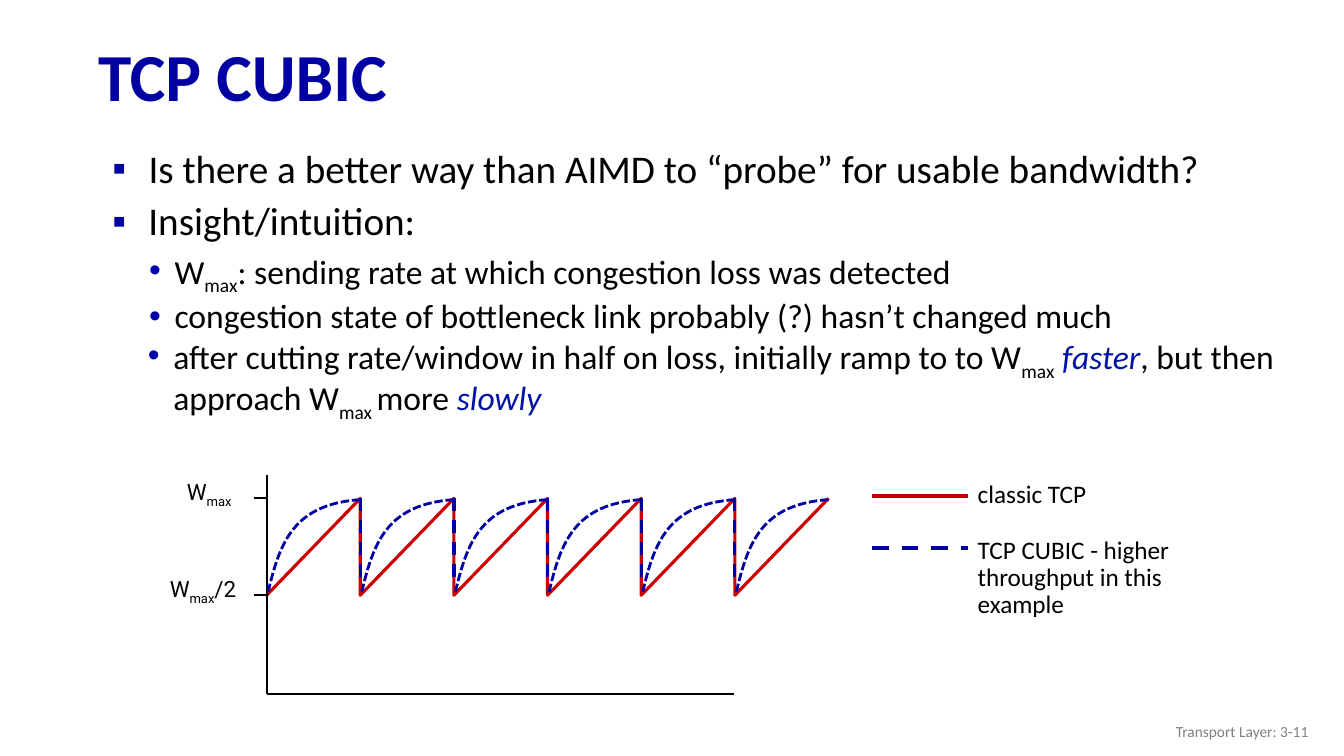
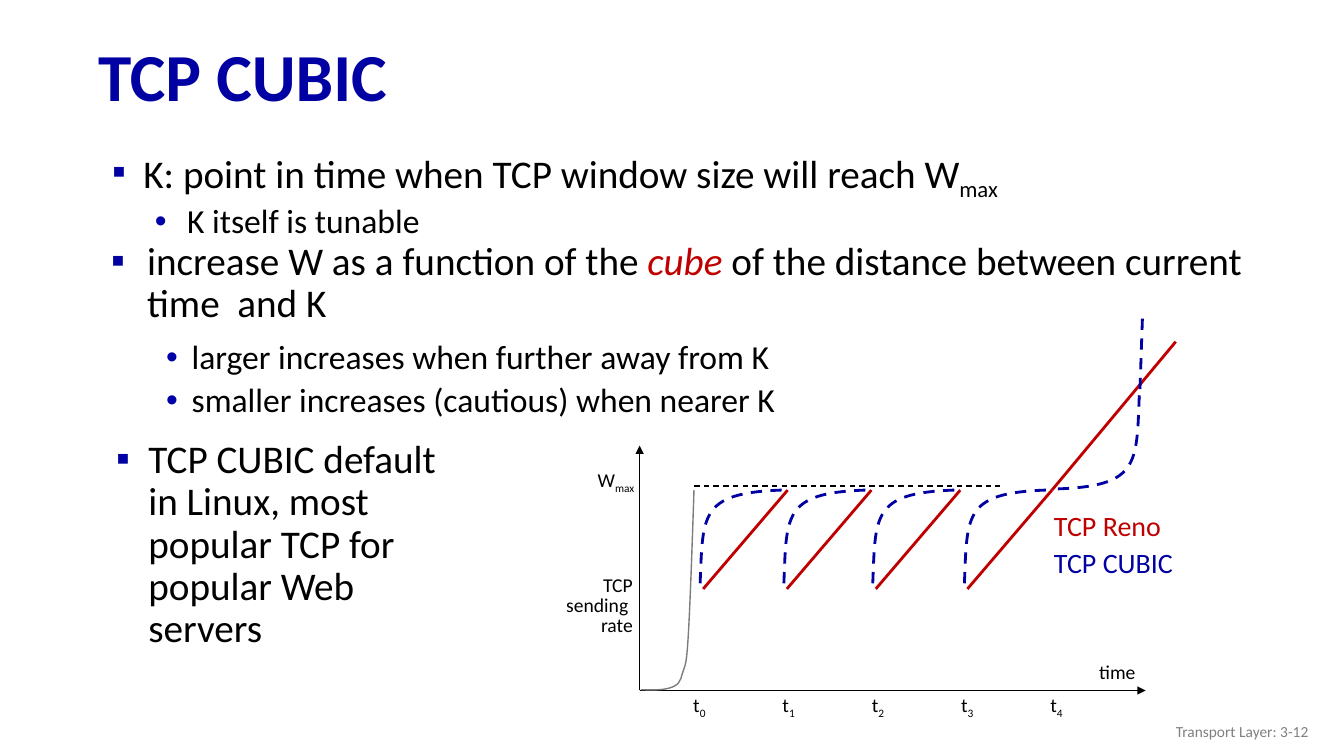
from dataclasses import dataclass
from typing import Any

import pptx
import pptx.dml.color
import pptx.enum.dml
import pptx.enum.shapes
import pptx.enum.text
import pptx.oxml
import pptx.oxml.ns
import pptx.util

Cm, Pt, qn = pptx.util.Cm, pptx.util.Pt, pptx.oxml.ns.qn
DASH = pptx.enum.dml.MSO_LINE
ALIGN = pptx.enum.text.PP_ALIGN
ANCHOR = pptx.enum.text.MSO_ANCHOR

NAVY, DEEP_BLUE, BLACK, GRAY = "0000A3", "0013A3", "000000", "808080"
RED, BRIGHT_RED, SLOW_START_GRAY = "C00000", "CC0000", "7C7C7C"
FONT = "Calibri"
TEXT_LEFT, TEXT_WIDTH = 2.22, 31.01

# Marks on a run that differ from the rest of its paragraph
SUB = {"subscript": True}
BLUE_ITALIC = {"color": DEEP_BLUE, "italic": True}
RED_ITALIC = {"color": RED, "italic": True}
W_MAX = ["W", ("max", SUB)]

# Per bullet level: character, its colour, text size, space before, indents
LEVELS = [
    {"char": "▪", "color": NAVY, "size": 28, "before": 10, "margin": 1.27, "hang": 0.91},
    {"char": "•", "color": "0000A8", "size": 24, "before": 5, "margin": 1.93, "hang": 0.64},
]


def rgb(color):
    return pptx.dml.color.RGBColor.from_string(color)


def add_runs(paragraph, runs, size, color=BLACK, font=FONT, bold=False):
    for part in runs:
        text, marks = (part, {}) if isinstance(part, str) else part
        run = paragraph.add_run()
        run.text = text
        formats = {"name": font, "size": Pt(size), "bold": bold,
                   "italic": marks.get("italic", False)}
        for name, value in formats.items():
            setattr(run.font, name, value)
        run.font.color.rgb = rgb(marks.get("color", color))
        if marks.get("subscript"):
            run._r.get_or_add_rPr().set("baseline", "-25000")


def format_paragraph(paragraph, align=ALIGN.LEFT, spacing=1.0, before=0):
    formats = {"alignment": align, "line_spacing": spacing,
               "space_before": Pt(before), "space_after": Pt(0)}
    for name, value in formats.items():
        setattr(paragraph, name, value)


def set_frame(frame, anchor=ANCHOR.TOP):
    formats = {"word_wrap": True, "auto_size": pptx.enum.text.MSO_AUTO_SIZE.NONE,
               "vertical_anchor": anchor}
    for name, value in formats.items():
        setattr(frame, name, value)


def paragraphs_of(frame, count):
    """The first paragraph of the frame, then new ones, up to count."""
    return [frame.paragraphs[0]] + [frame.add_paragraph() for _ in range(count - 1)]


def place(shape, left, top, width, height):
    for name, value in zip(("left", "top", "width", "height"), (left, top, width, height)):
        setattr(shape, name, Cm(value))


@dataclass
class Panel:
    """A region of a slide; its parts are placed in cm from its top left corner."""
    slide: Any
    left: float
    top: float
    width: float
    height: float

    def at(self, x, y):
        return Cm(self.left + x), Cm(self.top + y)

    def line(self, start, end, color=BLACK, weight=1.5, dash=None, arrow=False):
        straight = pptx.enum.shapes.MSO_CONNECTOR.STRAIGHT
        connector = self.slide.shapes.add_connector(straight, *self.at(*start), *self.at(*end))
        style_line(connector.line, color, weight, dash)
        if arrow:
            add_element(connector.line._get_or_add_ln(), "tailEnd", type="triangle")
        add_element(connector._element.spPr, "effectLst")

    def outline(self, points, color, weight, dash=None, curved=False):
        first, *rest = [self.at(*point) for point in points]
        builder = self.slide.shapes.build_freeform(*first, scale=1.0)
        builder.add_line_segments(rest, close=False)
        shape = builder.convert_to_shape()
        if curved:
            bend_segments(shape)
        shape.shadow.inherit = False
        shape.fill.background()
        style_line(shape.line, color, weight, dash)

    def arc(self, corner, size, bend, dash=DASH.DASH, turned=False):
        """A curve from top right to bottom left of a box, or turned by 180 degrees."""
        shares = [(1, 0), *bend, (0, 1)]
        if turned:
            shares = [(1 - u, 1 - v) for u, v in shares]
        (x, y), (w, h) = corner, size
        self.outline([(x + u * w, y + v * h) for u, v in shares], NAVY, 2, dash, curved=True)

    def text(self, x, y, width, height, lines, size, colors=(BLACK,), font=FONT,
             align=ALIGN.LEFT, spacing=1.0, before=0, anchor=ANCHOR.TOP):
        box = self.slide.shapes.add_textbox(*self.at(x, y), Cm(width), Cm(height))
        set_frame(box.text_frame, anchor)
        for i, paragraph in enumerate(paragraphs_of(box.text_frame, len(lines))):
            format_paragraph(paragraph, align, spacing, before if i else 0)
            add_runs(paragraph, lines[i], size, colors[i % len(colors)], font)


def add_element(parent, tag, **attributes):
    element = pptx.oxml.parse_xml(f'<a:{tag} {pptx.oxml.ns.nsdecls("a")}/>')
    for name, value in attributes.items():
        element.set(name, value)
    parent.append(element)
    return element


def bend_segments(shape):
    """Turn each three straight segments into one cubic curve."""
    segments = list(shape._element.iter(qn("a:lnTo")))
    for i in range(0, len(segments), 3):
        curve = add_element(segments[i].getparent(), "cubicBezTo")
        for segment in segments[i:i + 3]:
            curve.append(segment[0])
            segment.getparent().remove(segment)


def style_line(line, color, weight, dash):
    line.color.rgb = rgb(color)
    line.width = Pt(weight)
    if dash is not None:
        line.dash_style = dash


def fill_bullets(frame, items):
    """Each item is a level, its runs and any changes to the level's look."""
    set_frame(frame)
    for i, paragraph in enumerate(paragraphs_of(frame, len(items))):
        level, runs, *changes = items[i]
        look = {**LEVELS[level], **(changes[0] if changes else {})}
        paragraph.level = level
        properties = paragraph._p.get_or_add_pPr()
        properties.set("marL", str(Cm(look["margin"])))
        properties.set("indent", str(-Cm(look["hang"])))
        add_element(add_element(properties, "buClr"), "srgbClr", val=look["color"])
        add_element(properties, "buFont", typeface="Arial")
        add_element(properties, "buChar", char=look["char"])
        format_paragraph(paragraph, spacing=0.9, before=look["before"] if i else 0)
        add_runs(paragraph, runs, look["size"])


def add_bullets(slide, left, top, width, height, items):
    box = slide.shapes.add_textbox(Cm(left), Cm(top), Cm(width), Cm(height))
    fill_bullets(box.text_frame, items)


def add_content_slide(deck, title, number, body_height, items):
    """A slide with title, leading bullets and footer."""
    slide = deck.slides.add_slide(deck.slide_layouts[1])
    heading, body = slide.shapes.title, slide.placeholders[1]
    place(heading, TEXT_LEFT, 0.76, 31.65, 2.49)
    set_frame(heading.text_frame, ANCHOR.MIDDLE)
    paragraph = heading.text_frame.paragraphs[0]
    format_paragraph(paragraph, spacing=0.9)
    add_runs(paragraph, [title], 48, NAVY, bold=True)
    place(body, TEXT_LEFT, 3.64, TEXT_WIDTH, body_height)
    fill_bullets(body.text_frame, items)
    footer = Panel(slide, 25.61, 17.91, 7.62, 1.02)
    footer.text(0, 0, footer.width, footer.height, [[f"Transport Layer: {number}"]], 11,
                [GRAY], align=ALIGN.RIGHT, anchor=ANCHOR.MIDDLE)
    return slide


def draw_sawtooth(panel, teeth=6):
    """Window size of both TCP versions between Wmax/2 and Wmax."""
    full, half, step = 0.6, 3.04, 2.36
    saw = []
    for i in range(teeth):
        saw += [(i * step, half), ((i + 1) * step, full)]
    panel.outline(saw, BRIGHT_RED, 2.25)
    panel.line((0, panel.height), (panel.width, panel.height))
    panel.line((0, 0), (0, panel.height))
    for level, x, label in ((full, -2.26, W_MAX), (half, -2.69, W_MAX + ["/2"])):
        panel.line((-0.33, level), (0, level))
        panel.text(x, level - 0.63, 2.5, 0.94, [label], 16, font="Roboto")
    for i in range(teeth):
        panel.arc((i * step + 0.03, full + 0.03), (step - 0.03, half - full - 0.08),
                  [(0.28, 0.05), (0.13, 0.45)], DASH.SQUARE_DOT)
        if i < teeth - 1:
            drop = (i + 1) * step
            panel.line((drop, full), (drop, full + 2.21), NAVY, 2.25, DASH.DASH)


def draw_legend(panel):
    key = 2.41
    entries = ((0, 0.58, RED, None, "classic TCP", 1.0),
               (1.5, 1.88, NAVY, DASH.DASH,
                "TCP CUBIC - higher throughput in this example", 0.9))
    for top, middle, color, dash, label, spacing in entries:
        panel.line((0, middle), (key, middle), color, 3, dash)
        panel.text(key, top, panel.width - key, panel.height - top, [[label]], 18,
                   spacing=spacing)


def draw_sending_rate(panel):
    """Sending rate of Reno and CUBIC over time, after slow start."""
    base, full, half, run = panel.height, 4.32, 6.81, 2.13
    panel.line((0, base), (panel.width, base), weight=1, arrow=True)
    panel.line((0, base), (0, 3.2), weight=1, arrow=True)
    slow_start = [(1.37, full), (1.32, 5.84), (1.27, 7.29), (1.22, 8.08),
                  (1.17, 8.86), (1.14, 8.69), (1.04, 9.07),
                  (0.94, 9.42), (0.25, 9.35), (0.03, 9.35)]
    panel.outline(slow_start, SLOW_START_GRAY, 1, curved=True)
    panel.line((1.37, 4.22), (9.07, 4.22), weight=1, dash=DASH.DASH)

    bend = [(-0.03, 0.03), (0.04, 0.26)]
    losses = (1.6, 3.71, 5.95, 8.26)
    for loss in losses:
        panel.line((loss + run, full), (loss, half), RED, 2)
        panel.arc((loss - 0.08, full), (2.06, half - full), bend)
    panel.line((losses[-1] + run, full), (13.51, 0.58), RED, 2)
    panel.arc((10.54, 1.73), (2.06, 2.56), bend, turned=True)
    panel.line((12.67, 0), (12.6, 2.01), NAVY, 2, DASH.DASH)

    small = {"size": 14, "spacing": 0.85}
    panel.text(-2.16, 6.38, 2.24, 2.46, [["TCP"], ["sending "], ["rate"]],
               align=ALIGN.RIGHT, **small)
    panel.text(-1.42, 3.68, 1.54, 0.8, [W_MAX], align=ALIGN.RIGHT, **small)
    for i in range(5):
        panel.text(1.1 + 2.25 * i, 9.35, 0.9, 0.8, [["t", (str(i), SUB)]], **small)
    panel.text(11.33, 8.48, 1.5, 0.86, [["time"]], 14)
    panel.text(10.19, 4.78, 3.6, 2.62, [["TCP Reno"], ["TCP CUBIC"]], 20, (RED, NAVY),
               spacing=0.85, before=6)


def build_intuition_slide(deck):
    slide = add_content_slide(deck, "TCP CUBIC", "3-11", 1.4, [
        (0, ["Is there a better way than AIMD to “probe” for usable bandwidth?"])])
    add_bullets(slide, TEXT_LEFT, 4.96, TEXT_WIDTH, 3.6, [
        (0, ["Insight/intuition:"]),
        (1, W_MAX + [": sending rate at which congestion loss was detected"]),
        (1, ["congestion state of bottleneck link probably (?) hasn’t changed much"])])
    add_bullets(slide, 2.19, 8.36, TEXT_WIDTH, 2.49, [
        (1, ["after cutting rate/window in half on loss, initially ramp to to W",
             ("max", SUB), " ", ("faster", BLUE_ITALIC), ", but then approach W",
             ("max ", SUB), "more ", ("slowly", BLUE_ITALIC)])])
    draw_sawtooth(Panel(slide, 6.72, 11.96, 11.78, 5.53))
    draw_legend(Panel(slide, 21.98, 11.92, 8.48, 3.84))


def build_cube_slide(deck):
    slide = add_content_slide(deck, "TCP CUBIC", "3-12", 2.64, [
        (0, ["K: point in time when TCP window size will reach "] + W_MAX,
         {"margin": 1.14, "hang": 0.79}),
        (1, ["K itself is tunable"], {"margin": 2.24, "hang": 0.81})])
    add_bullets(slide, 2.19, 5.96, TEXT_WIDTH, 2.4, [
        (0, ["increase W as a function of the ", ("cube", RED_ITALIC),
             " of the distance between current time  and K"])])
    add_bullets(slide, 2.65, 8.46, 28.58, 2.77, [
        (1, ["larger increases when further away from K"]),
        (1, ["smaller increases (cautious) when nearer K"])])
    add_bullets(slide, TEXT_LEFT, 10.95, 9.6, 5.61, [
        (0, ["TCP CUBIC default in Linux, most popular TCP for popular Web servers"],
         {"hang": 0.81})])
    draw_sending_rate(Panel(slide, 16.12, 8.03, 12.75, 9.37))


def main():
    deck = pptx.Presentation()
    deck.slide_width, deck.slide_height = Cm(33.87), Cm(19.05)
    build_intuition_slide(deck)
    build_cube_slide(deck)
    deck.save("out.pptx")


if __name__ == "__main__":
    main()
